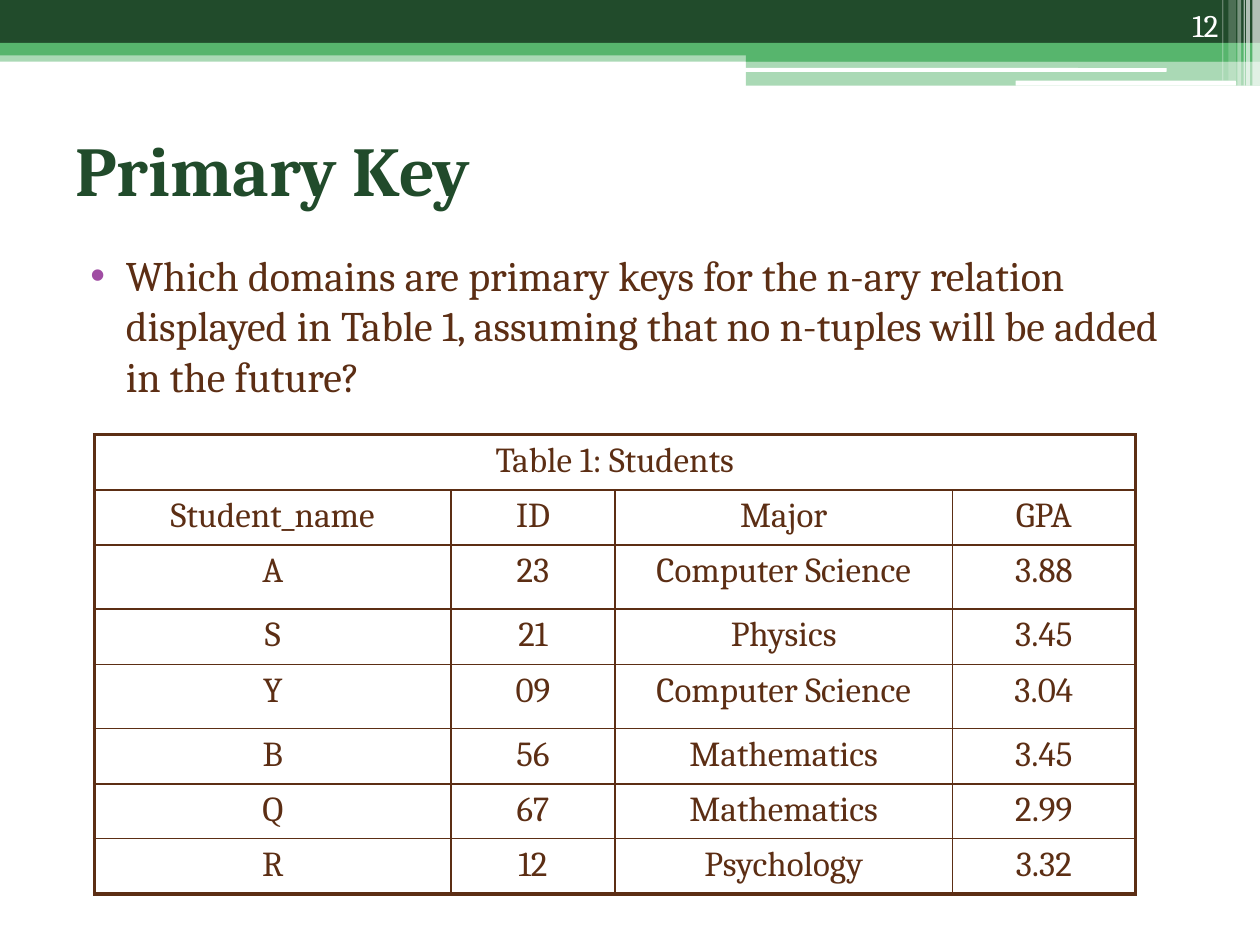
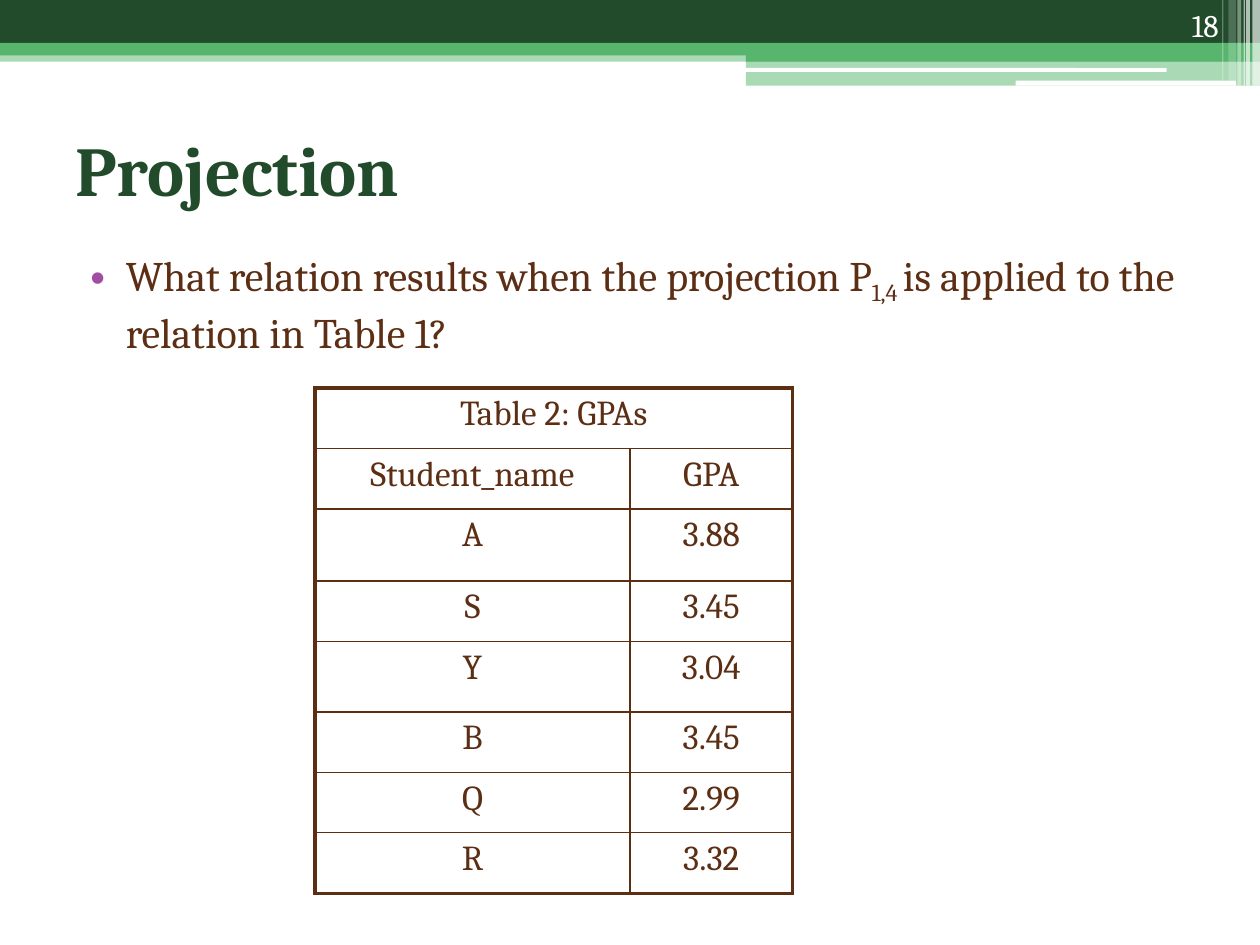
"""Build two slides on primary keys and projections of n-ary relations."""
import pptx
import pptx.dml.color
import pptx.enum.shapes
import pptx.enum.text
import pptx.oxml
import pptx.oxml.ns
import pptx.util
from pptx.util import Inches

PP_ALIGN = pptx.enum.text.PP_ALIGN
ANCHOR = pptx.enum.text.MSO_ANCHOR
SHAPE = pptx.enum.shapes.MSO_SHAPE
NS = pptx.oxml.ns.nsdecls("a")

DARK, GREEN, WHITE, BROWN, PURPLE = "214B2B", "57B56D", "FFFFFF", "5C2E14", "A04DA3"
FONT = "Cambria"
OUTER, INNER = 2.25, 1

BANDS = [
    (0, 0.4, 10, 0.09, GREEN, 50),
    (0, 0, 10, 0.34, DARK, 100),
    (0, 0.34, 10, 0.1, GREEN, 100),
    (5.92, 0.39, 4.08, 0.1, GREEN, 100),
    (5.92, 0.48, 4.08, 0.2, GREEN, 50),
]
GAPS = [(5.91, 0.54, 3.35, 0.03), (8.06, 0.64, 1.75, 0.04)]
STRIPES = [
    (9.94, 0.06, 0.68, 65),
    (9.89, 0.03, 0.68, 65),
    (9.87, 0.01, 0.68, 60),
    (9.82, 0.03, 0.68, 40),
    (9.75, 0.06, 0.64, 20),
    (9.7, 0.01, 0.64, 30),
]

STUDENTS = [
    ("Student_name", "ID", "Major", "GPA"),
    ("A", "23", "Computer Science", "3.88"),
    ("S", "21", "Physics", "3.45"),
    ("Y", "09", "Computer Science", "3.04"),
    ("B", "56", "Mathematics", "3.45"),
    ("Q", "67", "Mathematics", "2.99"),
    ("R", "12", "Psychology", "3.32"),
]
GPAS = [(row[0], row[3]) for row in STUDENTS]


def rgb(color):
    """Turn a hex string into a colour."""
    return pptx.dml.color.RGBColor.from_string(color)


class Deck:
    """Hold the shared style and the current slide."""

    def __init__(self):
        """Start an empty 10 by 7.5 inch presentation."""
        self.presentation = pptx.Presentation()
        self.presentation.slide_width = Inches(10)
        self.presentation.slide_height = Inches(7.5)
        self.slide = None

    def start_slide(self, title, number):
        """Add a slide with its bands, title and number."""
        self.slide = self.presentation.slides.add_slide(self.presentation.slide_layouts[6])
        for left, top, width, height, color, opacity in BANDS:
            self.block(left, top, width, height, color, opacity)
        for place in GAPS:
            self.block(*place, WHITE, kind=SHAPE.ROUNDED_RECTANGLE)
        for left, width, height, opacity in STRIPES:
            self.block(left, 0, width, height, WHITE, opacity)
        self.text(0.5, 0.75, 9, 1.17, [title], 40, DARK, ANCHOR.MIDDLE).font.bold = True
        page = self.text(8.94, 0, 0.83, 0.4, [str(number)], 18, WHITE, ANCHOR.BOTTOM)
        page.alignment = PP_ALIGN.RIGHT

    def block(self, left, top, width, height, color, opacity=100, kind=SHAPE.RECTANGLE):
        """Add a plain filled shape without outline."""
        block = self.slide.shapes.add_shape(
            kind, Inches(left), Inches(top), Inches(width), Inches(height))
        block.shadow.inherit = False
        block.line.fill.background()
        block.fill.solid()
        block.fill.fore_color.rgb = rgb(color)
        if opacity < 100:
            tint = block._element.spPr.find(".//" + pptx.oxml.ns.qn("a:srgbClr"))
            tint.append(pptx.oxml.parse_xml(f'<a:alpha {NS} val="{opacity * 1000}"/>'))

    def style(self, paragraph, size, color):
        """Set the font of a paragraph."""
        paragraph.font.name = FONT
        paragraph.font.size = pptx.util.Pt(size)
        paragraph.font.color.rgb = rgb(color)

    def text(self, left, top, width, height, parts, size, color, anchor=ANCHOR.TOP):
        """Add a text box whose odd parts are subscripts and return its paragraph."""
        frame = self.slide.shapes.add_textbox(
            Inches(left), Inches(top), Inches(width), Inches(height)).text_frame
        frame.word_wrap = True
        frame.vertical_anchor = anchor
        paragraph = frame.paragraphs[0]
        self.style(paragraph, size, color)
        for index, part in enumerate(parts):
            run = paragraph.add_run()
            run.text = part
            if index % 2:
                run._r.get_or_add_rPr().set("baseline", "-25000")
        return paragraph

    def question(self, *parts):
        """Add the bulleted question under the title."""
        paragraph = self.text(0.5, 1.93, 9, 4.73, parts, 24, BROWN)
        paragraph.space_before = pptx.util.Pt(3)
        properties = paragraph._p.get_or_add_pPr()
        properties.set("marL", str(Inches(0.4)))
        properties.set("indent", str(Inches(-0.28)))
        bullet = (f'<a:buClr {NS}><a:srgbClr val="{PURPLE}"/></a:buClr>',
                  f'<a:buFont {NS} typeface="Arial"/>',
                  f'<a:buChar {NS} char="•"/>')
        default_font = properties.find(pptx.oxml.ns.qn("a:defRPr"))
        for xml in bullet:
            default_font.addprevious(pptx.oxml.parse_xml(xml))

    def relation(self, left, top, caption, rows, widths, heights):
        """Add a relation as a table with a merged caption row and a heavy frame."""
        grid = self.slide.shapes.add_table(
            len(heights), len(widths), Inches(left), Inches(top),
            Inches(sum(widths)), Inches(sum(heights))).table
        grid.first_row = grid.horz_banding = False
        for column, width in zip(grid.columns, widths):
            column.width = Inches(width)
        for line, height in zip(grid.rows, heights):
            line.height = Inches(height)
        last_row, last_column = len(heights) - 1, len(widths) - 1
        grid.cell(0, 0).merge(grid.cell(0, last_column))
        captioned = [(caption,) + ("",) * last_column] + rows
        for r, row in enumerate(captioned):
            for c, value in enumerate(row):
                cell = grid.cell(r, c)
                self.borders(cell, L=c == 0, R=c == last_column or r == 0,
                             T=r == 0, B=r == last_row)
                cell.fill.background()
                if value:
                    self.entry(cell, value)

    def entry(self, cell, value):
        """Write a centred value into a cell."""
        cell.text = value
        paragraph = cell.text_frame.paragraphs[0]
        paragraph.alignment = PP_ALIGN.CENTER
        self.style(paragraph, 20, BROWN)
        paragraph._p.get_or_add_pPr().insert(0, pptx.oxml.parse_xml(
            f'<a:spcBef {NS}><a:spcPct val="20000"/></a:spcBef>'))

    def borders(self, cell, **outer_sides):
        """Draw the four borders of a cell, heavier on the outer sides."""
        for side, is_outer in outer_sides.items():
            width = pptx.util.Pt(OUTER if is_outer else INNER)
            cell._tc.get_or_add_tcPr().append(pptx.oxml.parse_xml(
                f'<a:ln{side} {NS} w="{width}"><a:solidFill><a:srgbClr val="{BROWN}"/>'
                f'</a:solidFill></a:ln{side}>'))


def main():
    """Build and save both slides."""
    deck = Deck()
    deck.start_slide("Primary Key", 12)
    deck.question("Which domains are primary keys for the n-ary relation displayed in "
                  "Table 1, assuming that no n-tuples will be added in the future?")
    deck.relation(0.75, 3.45, "Table 1: Students", STUDENTS, [2.83, 1.3, 2.68, 1.45],
                  [0.44, 0.43, 0.51, 0.44, 0.51, 0.44, 0.43, 0.44])

    deck.start_slide("Projection", 18)
    deck.question("What relation results when the projection P", "1,4 ",
                  "is applied to the relation in Table 1?")
    deck.relation(2.5, 3.08, "Table 2: GPAs", GPAS, [2.5, 1.29],
                  [0.48, 0.48, 0.57, 0.48, 0.56, 0.48, 0.48, 0.48])
    deck.presentation.save("out.pptx")


if __name__ == "__main__":
    main()
